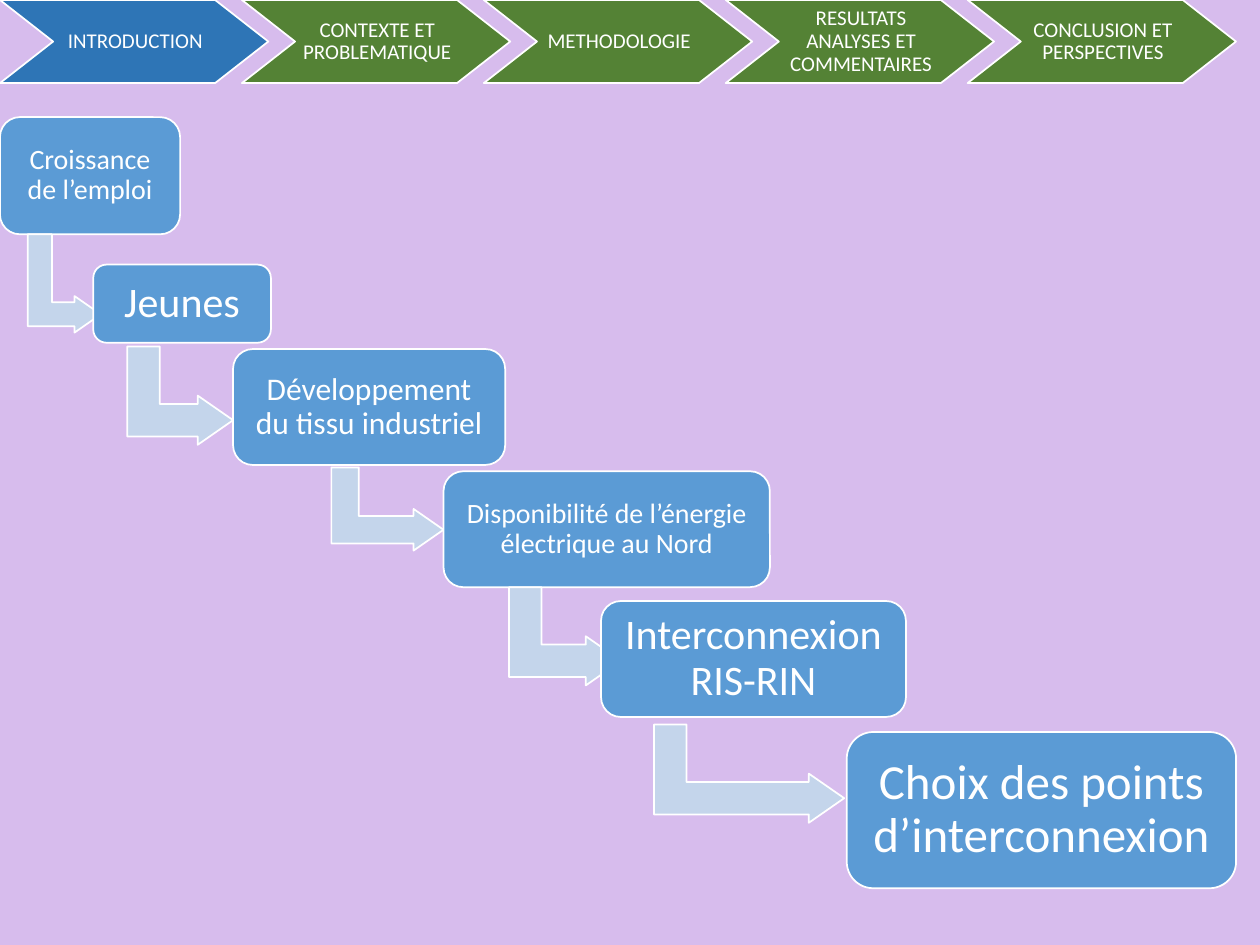
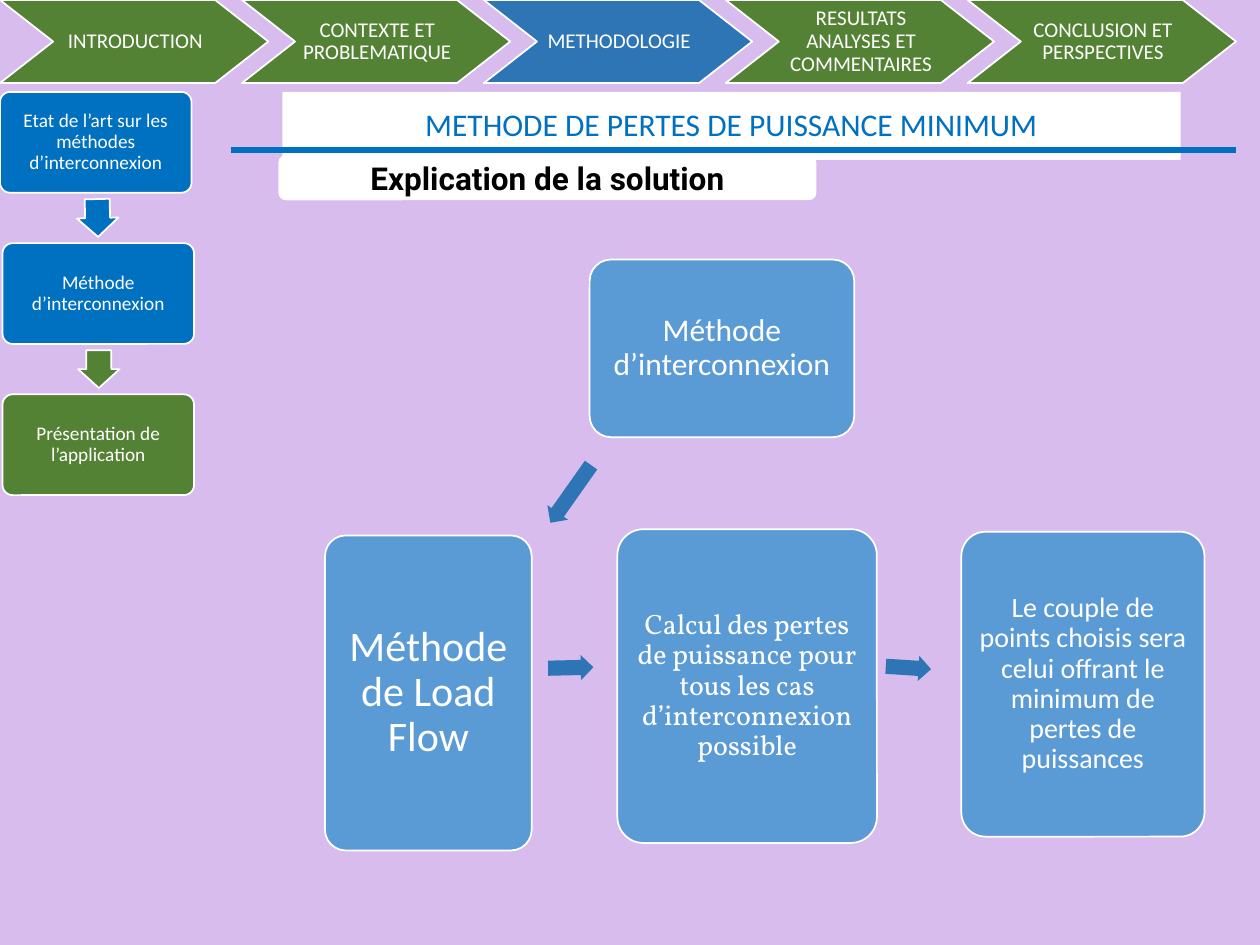
from dataclasses import dataclass

from lxml import etree
from pptx import Presentation
from pptx import util as u
from pptx.dml.color import RGBColor
from pptx.enum import shapes, text
from pptx.oxml import ns

MSO = shapes.MSO_SHAPE


@dataclass(frozen=True)
class Theme:
    """Colours, fonts and type sizes shared by the slides."""
    background: str = "D7BCED"
    white: str = "FFFFFF"
    black: str = "000000"
    green: str = "548235"
    active: str = "2E75B6"
    box: str = "5B9BD5"
    bend: str = "C4D5EB"
    accent: str = "0070C0"
    body: str = "Calibri"
    serif: str = "Vollkorn"
    heading: str = "Roboto"
    nav: int = 12
    side: int = 11
    small: int = 16
    medium: int = 18
    large: int = 24
    huge: int = 28


@dataclass(frozen=True)
class Box:
    """A rectangle in inches."""
    x: float
    y: float
    w: float
    h: float

    def inner(self, x, y, w, h):
        """Return a rectangle offset from this one's corner."""
        return Box(self.x + x, self.y + y, w, h)

    def lengths(self):
        """Return left, top, width and height as lengths."""
        return [u.Inches(v) for v in (self.x, self.y, self.w, self.h)]


T = Theme()
SECTIONS = ("INTRODUCTION", "CONTEXTE ET PROBLEMATIQUE", "METHODOLOGIE",
            "RESULTATS ANALYSES ET COMMENTAIRES", "CONCLUSION ET PERSPECTIVES")


def rgb(color):
    """Turn a hex string into a colour."""
    return RGBColor.from_string(color)


def add_preset(s, kind, box, fill, line=T.white, adj=(), rot=0):
    """Add a flat preset shape with its fill and optional outline."""
    sp = s.shapes.add_shape(kind, *box.lengths())
    sp.shadow.inherit = False
    sp.rotation = rot
    for i, value in enumerate(adj):
        sp.adjustments[i] = value
    sp.fill.solid()
    sp.fill.fore_color.rgb = rgb(fill)
    if line:
        sp.line.color.rgb = rgb(line)
        sp.line.width = u.Pt(1)
    else:
        sp.line.fill.background()
    return sp


def write(sp, words, size, color=T.white, font=T.body, bold=False,
          insets=(0.1, 0.05), spacing=0.9):
    """Write one centred paragraph, breaking lines at newlines."""
    tf = sp.text_frame
    tf.word_wrap = True
    tf.auto_size = text.MSO_AUTO_SIZE.NONE
    tf.vertical_anchor = text.MSO_ANCHOR.MIDDLE
    tf.margin_left = tf.margin_right = u.Inches(insets[0])
    tf.margin_top = tf.margin_bottom = u.Inches(insets[1])
    p = tf.paragraphs[0]
    p.alignment = text.PP_ALIGN.CENTER
    p.line_spacing = spacing
    p.space_before = u.Pt(0)
    p.space_after = u.Pt(round(size * 0.42) if spacing < 1 else 0)
    for i, line in enumerate(words.split("\n")):
        if i:
            p.add_line_break()
        r = p.add_run()
        r.text = line
        r.font.name, r.font.size, r.font.bold = font, u.Pt(size), bold
        r.font.color.rgb = rgb(color)


def add_card(s, box, words, size, fill=T.box, corner=0.17, font=T.body):
    """Add a rounded box whose insets follow its type size."""
    sp = add_preset(s, MSO.ROUNDED_RECTANGLE, box, fill, adj=(corner,))
    write(sp, words, size, font=font, insets=(size * 0.004,) * 2)


def add_nav(s, box, current):
    """Add the row of section chevrons, marking the current one."""
    step = 1.92
    for i, name in enumerate(SECTIONS):
        fill = T.active if i == current else T.green
        sp = add_preset(s, MSO.CHEVRON, box.inner(i * step, 0, 2.13, box.h), fill, adj=(0.64,))
        write(sp, name, T.nav, insets=(0.04, 0.02))
        sp.text_frame.margin_left = u.Inches(0.06)


def add_bend(s, box):
    """Add an arrow that goes down and turns right, filling the box."""
    turned = box.inner((box.w - box.h) / 2, (box.h - box.w) / 2, box.h, box.w)
    add_preset(s, MSO.BENT_UP_ARROW, turned, T.bend, adj=(0.33, 0.25, 0.36), rot=90)


def add_cascade(s, box):
    """Add the descending steps, each led to by a bent arrow."""
    steps = (
        ("Croissance\nde l’emploi", T.small, (0, 0, 1.43, 0.93), None),
        ("Jeunes", T.large, (0.74, 1.17, 1.41, 0.62), (0.22, 0.93, 0.58, 0.78)),
        ("Développement du tissu industriel", T.medium,
         (1.85, 1.84, 2.16, 0.92), (1.01, 1.82, 0.84, 0.78)),
        ("Disponibilité de l’énergie électrique au Nord", T.small,
         (3.52, 2.81, 2.59, 0.92), (2.63, 2.78, 0.89, 0.66)),
        ("Interconnexion RIS-RIN", T.large,
         (4.77, 3.84, 2.42, 0.92), (4.04, 3.73, 0.89, 0.78)),
        ("Choix des points d’interconnexion", T.huge,
         (6.72, 4.88, 3.09, 1.24), (5.19, 4.82, 1.51, 0.78)),
    )
    for words, size, card, bend in steps:
        if bend:
            add_bend(s, box.inner(*bend))
        add_card(s, box.inner(*card), words, size)


def add_sidebar(s, box):
    """Add the column of stages joined by down arrows."""
    stages = (("Etat de l’art sur les méthodes d’interconnexion", T.accent, 0),
              ("Méthode d’interconnexion", T.accent, 0.02),
              ("Présentation de l’application", T.green, 0.02))
    pitch, height = 1.2, 0.8
    for i, (words, fill, dx) in enumerate(stages):
        add_card(s, box.inner(dx, i * pitch, 1.52, height), words, T.side, fill, 0.1)
        if i < len(stages) - 1:
            arrow = box.inner(0.61 + dx / 2, i * pitch + height + 0.05, 0.33, 0.3)
            add_preset(s, MSO.DOWN_ARROW, arrow, stages[i + 1][1], adj=(0.6, 0.5),
                       rot=0 if dx else 358.7)


def add_heading(s, box):
    """Format the title, its rule and the subtitle below."""
    title = s.shapes.title
    title.left, title.top, title.width, title.height = box.inner(0.41, 0, 7.13, 0.54).lengths()
    geom = etree.Element(ns.qn("a:prstGeom"), prst="roundRect")
    etree.SubElement(geom, ns.qn("a:avLst"))
    title._element.spPr.insert(1, geom)
    title.fill.solid()
    title.fill.fore_color.rgb = rgb(T.white)
    write(title, "METHODE DE PERTES DE PUISSANCE MINIMUM", T.medium, T.accent)

    y = u.Inches(box.y + 0.46)
    rule = s.shapes.add_connector(shapes.MSO_CONNECTOR.STRAIGHT,
                                  u.Inches(box.x), y, u.Inches(box.x + box.w), y)
    rule.line.color.rgb = rgb(T.accent)
    rule.line.width = u.Pt(3)
    etree.SubElement(rule._element.spPr, ns.qn("a:effectLst"))

    sp = add_preset(s, MSO.ROUNDED_RECTANGLE, box.inner(0.38, 0.5, 4.27, 0.36), T.white, None)
    write(sp, "Explication de la solution", T.medium, T.black, T.heading, True, spacing=1)


def add_method(s, box):
    """Add the method flow: its start, three steps and the arrows."""
    add_card(s, box.inner(2.1, 0, 2.1, 1.41), "Méthode d’interconnexion", T.medium, corner=0.12)
    steps = (
        ("Méthode de Load Flow", T.large, T.body, (0, 2.19, 1.64, 2.5)),
        ("Calcul des pertes de puissance pour tous les cas d’interconnexion possible",
         T.small, T.serif, (2.32, 2.14, 2.06, 2.49)),
        ("Le couple de points choisis sera celui offrant le minimum de pertes de puissances",
         T.small, T.body, (5.05, 2.16, 1.93, 2.42)),
    )
    for words, size, font, card in steps:
        add_card(s, box.inner(*card), words, size, corner=0.1, font=font)
    arrows = ((MSO.LEFT_ARROW, (1.67, 1.76, 0.56, 0.2), 305.2),
              (MSO.RIGHT_ARROW, (1.77, 3.14, 0.36, 0.2), 358.7),
              (MSO.RIGHT_ARROW, (4.45, 3.14, 0.36, 0.2), 3.7))
    for kind, place, rot in arrows:
        add_preset(s, kind, box.inner(*place), T.active, None, (0.6, 0.5), rot)


def main():
    """Build and save the two slides."""
    prs = Presentation()
    prs.slide_width, prs.slide_height = u.Inches(10), u.Inches(7.5)
    fill = prs.slide_master.background.fill
    fill.solid()
    fill.fore_color.rgb = rgb(T.background)
    title_only, blank = prs.slide_layouts[5], prs.slide_layouts[6]
    nav = Box(0, 0, 9.82, 0.66)

    s = prs.slides.add_slide(blank)
    add_nav(s, nav, 0)
    add_cascade(s, Box(0, 0.93, 9.82, 6.12))

    s = prs.slides.add_slide(title_only)
    add_nav(s, nav, 2)
    add_sidebar(s, Box(0, 0.73, 1.55, 3.19))
    add_heading(s, Box(1.83, 0.73, 7.98, 0.86))
    add_method(s, Box(2.58, 2.06, 6.98, 4.69))

    prs.save("out.pptx")


if __name__ == "__main__":
    main()
